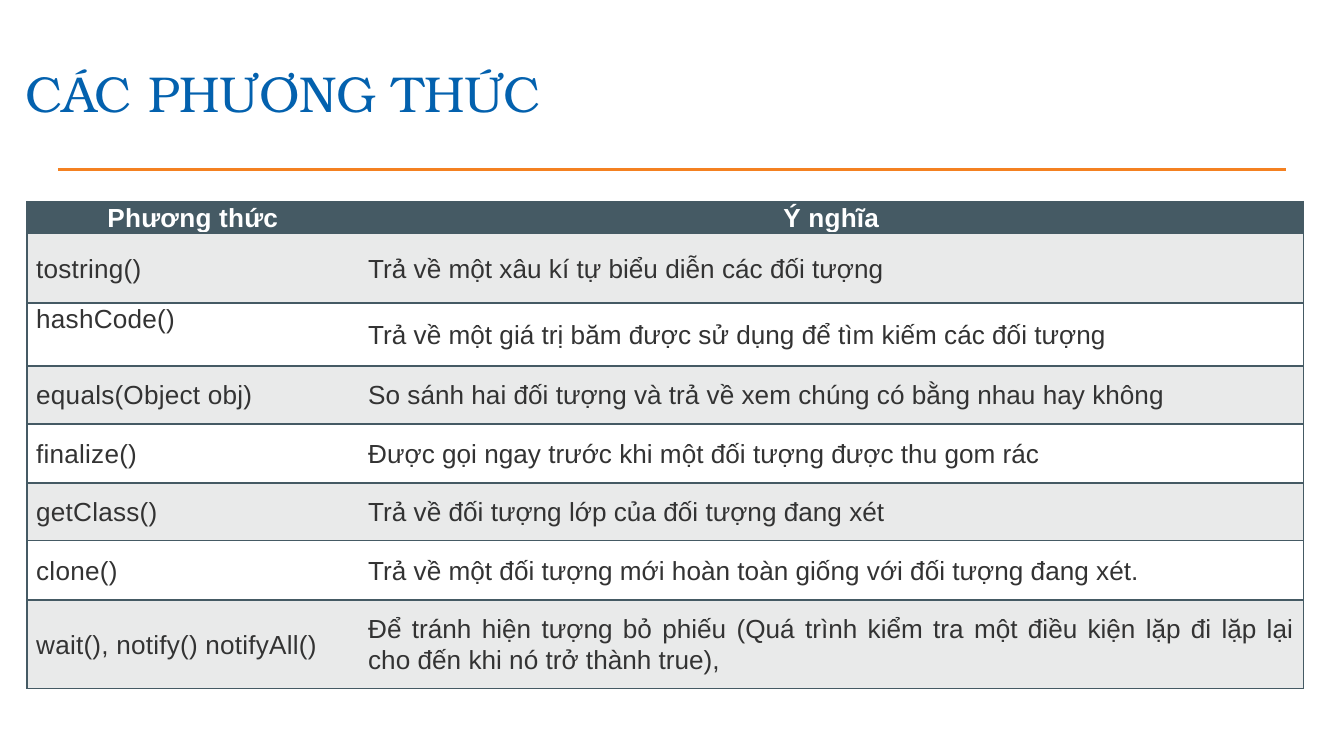
from lxml.etree import SubElement
from pptx import Presentation
from pptx.dml.color import RGBColor
from pptx.enum.text import MSO_ANCHOR, MSO_AUTO_SIZE, PP_ALIGN
from pptx.oxml import parse_xml
from pptx.oxml.ns import nsdecls, qn
from pptx.util import Inches, Pt

SLATE = "455A64"
PAGE_WIDTH = 10
COLUMN_WIDTHS = [2.47, 7.03]
ROW_HEIGHTS = [0.23, 0.52, 0.47, 0.43, 0.44, 0.43, 0.44, 0.66]
METHODS = [
    ("Phương thức", "Ý nghĩa"),
    ("tostring()", "Trả về một xâu kí tự biểu diễn các đối tượng"),
    ("hashCode()\n ", "Trả về một giá trị băm được sử dụng để tìm kiếm các đối tượng"),
    ("equals(Object obj)", "So sánh hai đối tượng và trả về xem chúng có bằng nhau hay không"),
    ("finalize()", "Được gọi ngay trước khi một đối tượng được thu gom rác"),
    ("getClass()", "Trả về đối tượng lớp của đối tượng đang xét"),
    ("clone()", "Trả về một đối tượng mới hoàn toàn giống với đối tượng đang xét."),
    ("wait(), notify() notifyAll()",
     "Để tránh hiện tượng bỏ phiếu (Quá trình kiểm tra một điều kiện lặp đi lặp lại "
     "cho đến khi nó trở thành true), "),
]


def color(value):
    return RGBColor.from_string(value)


def apply(target, values):
    for name, value in values.items():
        setattr(target, name, value)


def write(para, text, size, font, ink, bold=False):
    span = para.add_run()
    span.text = text
    apply(span.font, {"size": Pt(size), "name": font, "bold": bold})
    span.font.color.rgb = color(ink)
    return span


def add_title(page, box, text):
    title = page.shapes.title
    apply(title, dict(zip(("left", "top", "width", "height"), map(Inches, box))))
    frame = title.text_frame
    apply(frame, {"vertical_anchor": MSO_ANCHOR.BOTTOM, "auto_size": MSO_AUTO_SIZE.NONE,
                  "word_wrap": True})
    apply(frame, {f"margin_{side}": Inches(0.1) for side in ("left", "right", "top", "bottom")})
    frame.paragraphs[0].alignment = PP_ALIGN.LEFT
    write(frame.paragraphs[0], text, 27, "TeX Gyre Bonum", "0361AE")


def add_rule(page, left, right, top):
    rule = page.shapes.add_connector(1, Inches(left), Inches(top), Inches(right), Inches(top))
    rule.line.color.rgb = color("F48121")
    rule.line.width = Pt(1.5)
    SubElement(rule._element.spPr, qn("a:effectLst"))


def set_borders(cell, hidden):
    """Draw 1 pt slate edges, except the hidden one (L or R)."""
    properties = cell._tc.get_or_add_tcPr()
    for index, edge in enumerate("LRTB"):
        paint = ("<a:noFill/>" if edge == hidden else
                 f'<a:solidFill><a:srgbClr val="{SLATE}"/></a:solidFill>')
        properties.insert(index, parse_xml(
            f'<a:ln{edge} {nsdecls("a")} w="{Pt(1)}">{paint}</a:ln{edge}>'))


def fill_cell(cell, text, row, column):
    header = row == 0
    set_borders(cell, "R" if column == 0 else "L")
    cell.fill.solid()
    cell.fill.fore_color.rgb = color(SLATE if header else "E9EAEA" if row % 2 else "FFFFFF")
    apply(cell, {"margin_left": Inches(0.07), "margin_right": Inches(0.07),
                 "margin_top": 0, "margin_bottom": 0,
                 "vertical_anchor": MSO_ANCHOR.TOP if header else MSO_ANCHOR.MIDDLE})
    justified = column == 1 and row == len(METHODS) - 1
    alignment = (PP_ALIGN.CENTER if header else
                 PP_ALIGN.JUSTIFY if justified else PP_ALIGN.LEFT)
    frame = cell.text_frame
    for index, line in enumerate(text.split("\n")):
        para = frame.add_paragraph() if index else frame.paragraphs[0]
        apply(para, {"line_spacing": 1.07, "alignment": alignment})
        span = write(para, line, 14, "Arial", "FFFFFF" if header else "333333", header)
        if header or column == 0:
            span.font._element.set("spc", "10")


def add_method_table(page, left, top):
    table = page.shapes.add_table(
        len(METHODS), len(COLUMN_WIDTHS), Inches(left), Inches(top),
        Inches(sum(COLUMN_WIDTHS)), Inches(sum(ROW_HEIGHTS))).table
    for column, width in zip(table.columns, COLUMN_WIDTHS):
        column.width = Inches(width)
    for row, height in zip(table.rows, ROW_HEIGHTS):
        row.height = Inches(height)
    for row, texts in enumerate(METHODS):
        for column, text in enumerate(texts):
            fill_cell(table.cell(row, column), text, row, column)


def main():
    deck = Presentation()
    apply(deck, {"slide_width": Inches(PAGE_WIDTH), "slide_height": Inches(PAGE_WIDTH * 9 / 16)})
    page = deck.slides.add_slide(deck.slide_layouts[5])
    add_rule(page, 0.43, 9.57, 1.26)
    add_title(page, (0.09, 0.38, 9.32, 0.63), "CÁC PHƯƠNG THỨC")
    add_method_table(page, 0.2, 1.5)
    deck.save("out.pptx")


if __name__ == "__main__":
    main()
